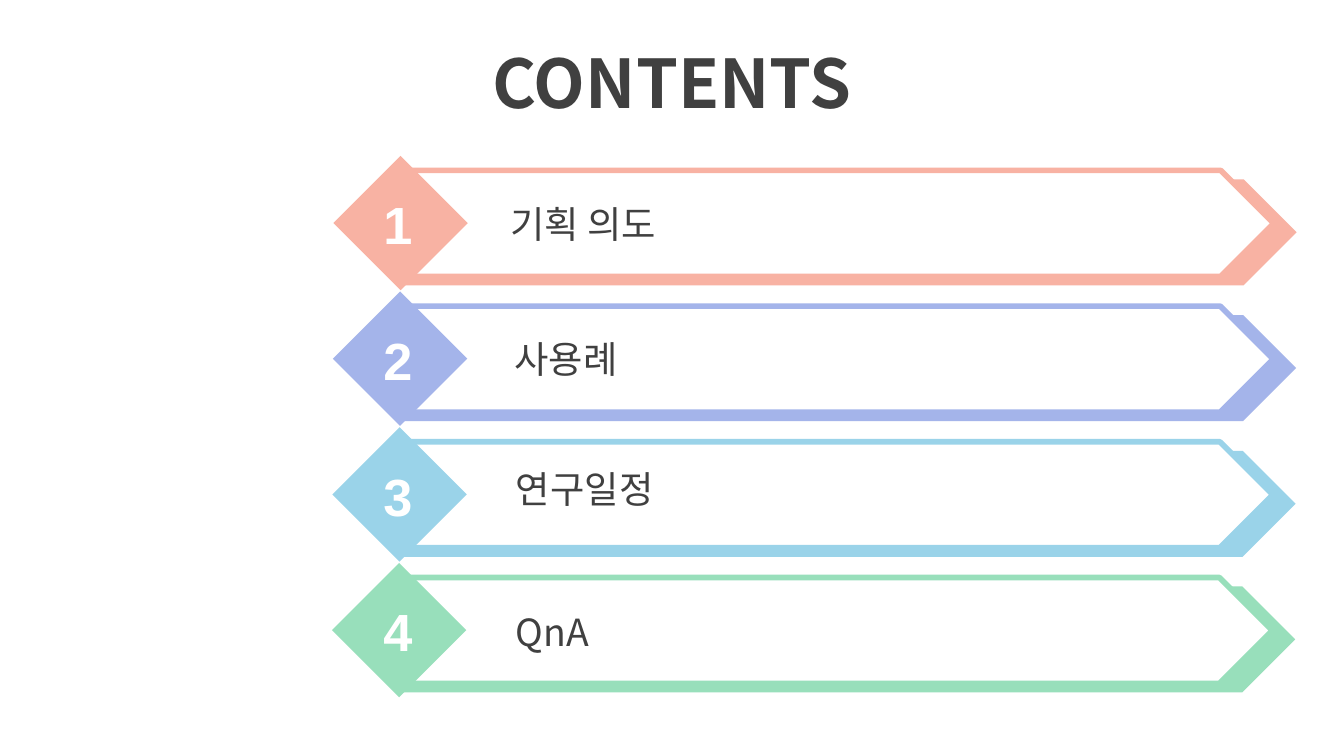
from dataclasses import dataclass

from lxml import etree
from pptx import Presentation
from pptx.dml.color import RGBColor
from pptx.enum import shapes, text
from pptx.oxml import ns
from pptx.util import Pt


@dataclass(frozen=True)
class Theme:
    sans: str = "Noto Sans CJK KR"
    digit: str = "Arial"
    ink: str = "404040"
    white: str = "FFFFFF"
    hues: tuple = ("F8B2A3", "A4B4EA", "9AD3E9", "98DFBB")
    title: int = 36
    number: int = 28
    label: int = 20


THEME = Theme()
PITCH = 72.7
DRIFT = -0.25  # each row starts slightly further left

# Label, left and top of its text box
ROWS = [
    ("기획 의도", 266.4, 104.4),
    ("사용례", 268.6, 176.6),
    ("연구일정", 269.3, 246.2),
    ("QnA", 269.3, 322.6),
]


def add_text(slide, words, box, font, size, color, bold=False,
             align=text.PP_ALIGN.LEFT, anchor=text.MSO_ANCHOR.TOP):
    frame = slide.shapes.add_textbox(*map(Pt, box)).text_frame
    frame.word_wrap = True
    frame.vertical_anchor = anchor
    frame.text = words
    line = frame.paragraphs[0]
    line.alignment = align
    run = line.runs[0]
    run.font.name = font
    run.font.size = Pt(size)
    run.font.bold = bold
    run.font.color.rgb = RGBColor.from_string(color)
    # Hangul takes the East Asian typeface
    east = etree.SubElement(run.font._element, ns.qn("a:ea"))
    east.set("typeface", font)


def add_form(group, kind, box, fill, edge=None):
    form = group.shapes.add_shape(kind, *map(Pt, box))
    form.shadow.inherit = False
    form.fill.solid()
    form.fill.fore_color.rgb = RGBColor.from_string(fill)
    if edge:
        form.line.color.rgb = RGBColor.from_string(edge)
        form.line.width = Pt(3)
    else:
        form.line.fill.background()


def add_banner(slide, left, top, hue):
    """Draw the arrow, its raised white face and the diamond."""
    kind = shapes.MSO_SHAPE
    group = slide.shapes.add_group_shape()
    add_form(group, kind.PENTAGON, (left + 38, top + 12.6, 478, 56.8), hue)
    add_form(group, kind.PENTAGON, (left + 38, top + 7.8, 465.8, 56.8),
             THEME.white, hue)
    add_form(group, kind.DIAMOND, (left, top, 72, 72), hue)


def main():
    deck = Presentation()
    deck.slide_width, deck.slide_height = Pt(720), Pt(405)
    slide = deck.slides.add_slide(deck.slide_layouts[6])
    center = {"bold": True, "align": text.PP_ALIGN.CENTER,
              "anchor": text.MSO_ANCHOR.MIDDLE}

    add_text(slide, "CONTENTS", (0, 20.9, 720, 45.4), THEME.sans,
             THEME.title, THEME.ink, **center)
    for row, ((label, left, top), hue) in enumerate(zip(ROWS, THEME.hues)):
        drop = row * PITCH
        add_banner(slide, 178.6 + row * DRIFT, 83.5 + drop, hue)
        add_text(slide, str(row + 1), (197.3, 99.4 + drop, 31.7, 41),
                 THEME.digit, THEME.number, THEME.white, **center)
        add_text(slide, label, (left, top, 374.4, 31.7), THEME.sans,
                 THEME.label, THEME.ink)
    deck.save("out.pptx")


if __name__ == "__main__":
    main()
